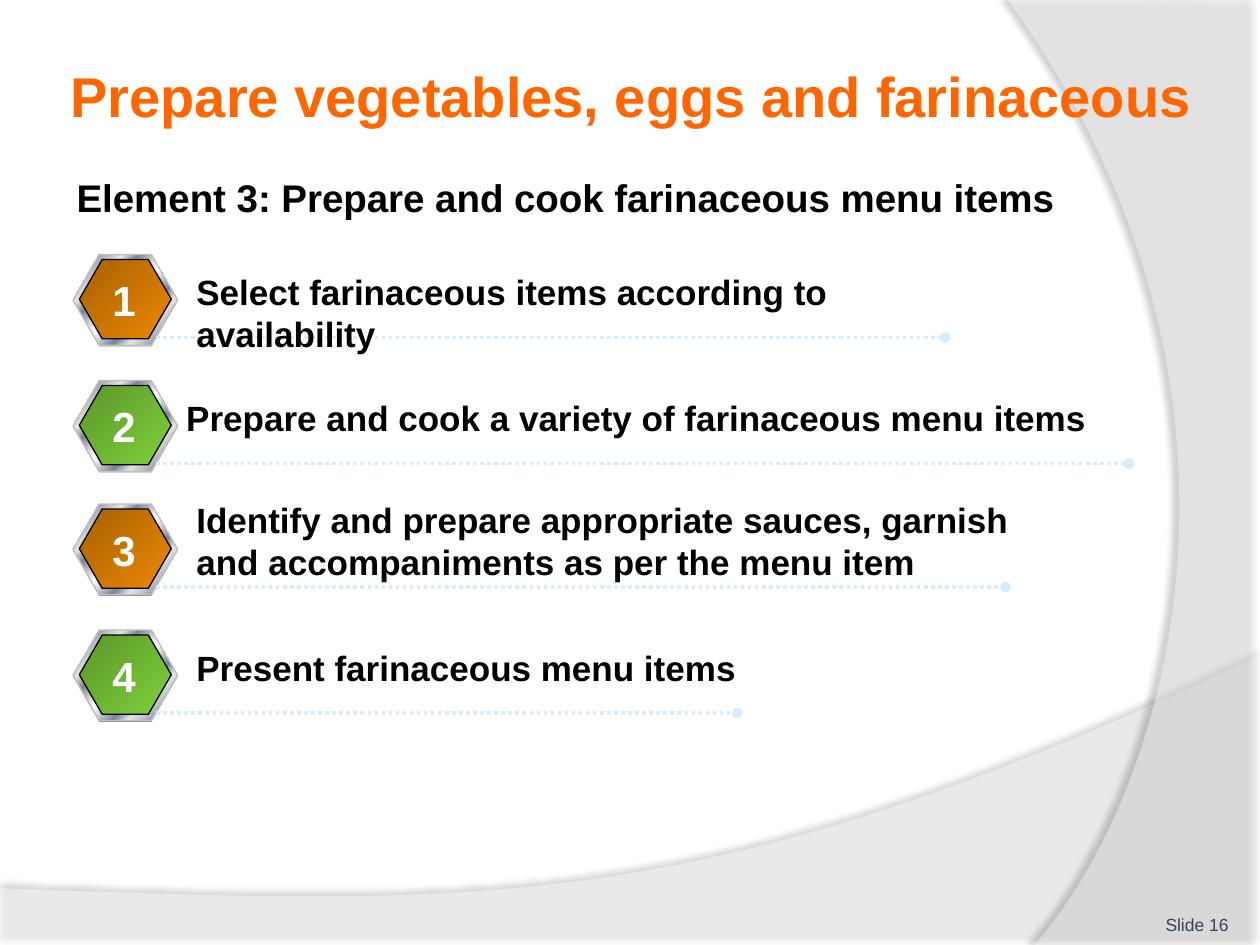
from dataclasses import dataclass

from lxml.etree import SubElement
from pptx import Presentation
from pptx.dml.color import RGBColor
from pptx.enum.dml import MSO_LINE
from pptx.enum.shapes import MSO_CONNECTOR, MSO_SHAPE
from pptx.enum.text import MSO_ANCHOR, MSO_AUTO_SIZE, PP_ALIGN
from pptx.oxml.ns import qn
from pptx.util import Inches, Pt

FONT = "Arial"
ORANGE = RGBColor(0xFF, 0x66, 0x00)
BLACK = RGBColor(0, 0, 0)
WHITE = RGBColor(0xFF, 0xFF, 0xFF)
SLATE = RGBColor(0x3A, 0x43, 0x52)
GREY = RGBColor(0x80, 0x80, 0x80)
SILVER = RGBColor(0xC0, 0xC0, 0xC0)
LIGHT = RGBColor(0xE6, 0xE6, 0xE6)
STEEL = RGBColor(0x7D, 0x84, 0x96)
PALE_BLUE = RGBColor(0xD6, 0xEC, 0xFF)

BROWN_FACE = ((0, RGBColor(0xA8, 0x61, 0x02)), (100, RGBColor(0xEB, 0x88, 0x03)))
GREEN_FACE = ((0, RGBColor(0x5B, 0x96, 0x2A)), (100, RGBColor(0x7F, 0xD1, 0x3B)))
CHROME = (
    (0, LIGHT), (8, STEEL), (26, LIGHT), (34, STEEL), (46, LIGHT), (50, WHITE),
    (54, LIGHT), (66, STEEL), (74, LIGHT), (92, STEEL), (100, LIGHT),
)

Point = tuple[float, float]


@dataclass
class Item:
    top: float
    lines: tuple[str, ...]
    text_left: float
    text_width: float
    rule_end: float
    text_offset: float = 0.08


@dataclass
class Swoosh:
    curve: tuple[Point, Point, Point, Point]
    corners: tuple[Point, ...]
    opacity: int
    shadow_opacity: int
    shadow_distance: float
    shadow_angle: int


ITEMS = [
    Item(2.02, ("Select farinaceous items according to availability",), 1.46, 6.69, 7.5),
    Item(3.02, ("Prepare and cook a variety of farinaceous menu items",), 1.38, 7.8, 8.96),
    Item(4, ("Identify and prepare appropriate sauces, garnish ",
             "and accompaniments as per the menu item"), 1.46, 7.09, 7.98, -0.09),
    Item(5, ("Present farinaceous menu items",), 1.46, 4.49, 5.85),
]
SWOOSHES = [
    Swoosh(((10, 5.2), (5.59, 7.29), (3.91, 7.19), (0, 7.05)),
           ((0, 7.51), (10, 7.51)), 45, 35, 3.5, 270),
    Swoosh(((8.21, 7.5), (9.35, 6.19), (10.18, 3), (8, 0)),
           ((10, 0.02), (10, 7.5)), 40, 45, 4, 180),
]


def bezier(curve: tuple[Point, Point, Point, Point], steps: int = 60) -> list[Point]:
    points = []
    for step in range(steps + 1):
        t = step / steps
        weights = ((1 - t) ** 3, 3 * t * (1 - t) ** 2, 3 * t * t * (1 - t), t ** 3)
        points.append(tuple(sum(w * p[axis] for w, p in zip(weights, curve))
                            for axis in (0, 1)))
    return points


def add_swoosh(page, swoosh: Swoosh):
    outline = [(Inches(x), Inches(y)) for x, y in (*bezier(swoosh.curve), *swoosh.corners)]
    builder = page.shapes.build_freeform(*outline[0])
    builder.add_line_segments(outline[1:], close=True)
    shape = builder.convert_to_shape()
    shape.fill.solid()
    shape.fill.fore_color.rgb = WHITE
    shape.line.fill.background()
    shape.shadow.inherit = False
    properties = shape.element.spPr
    white = properties.find(qn("a:solidFill")).find(qn("a:srgbClr"))
    SubElement(white, qn("a:alpha"), val=str(swoosh.opacity * 1000))
    shadow = SubElement(
        properties.find(qn("a:effectLst")), qn("a:outerShdw"), blurRad=str(Pt(4)),
        dist=str(Pt(swoosh.shadow_distance)), dir=str(swoosh.shadow_angle * 60000),
        rotWithShape="0")
    black = SubElement(shadow, qn("a:srgbClr"), val=str(BLACK))
    SubElement(black, qn("a:alpha"), val=str(swoosh.shadow_opacity * 1000))
    return shape


def add_span(para, text: str, size: float, color: RGBColor, bold: bool = True) -> None:
    span = para.add_run()
    span.text = text
    span.font.name = FONT
    span.font.size = Pt(size)
    span.font.bold = bold
    span.font.color.rgb = color


def add_text(shapes, bounds: tuple[float, ...], lines: tuple[str, ...], size: float,
             color: RGBColor, align=PP_ALIGN.LEFT, bold: bool = True, wrap: bool = True):
    box = shapes.add_textbox(*map(Inches, bounds))
    frame = box.text_frame
    frame.word_wrap = wrap
    para = frame.paragraphs[0]
    para.alignment = align
    for index, line in enumerate(lines):
        if index:
            para.add_line_break()
        add_span(para, line, size, color, bold)
    return frame


def set_gradient(fill, stops) -> None:
    """Fill with any number of stops, running from top left to bottom right."""
    fill.gradient()
    fill.gradient_angle = 315
    stop_list = fill.gradient_stops[0]._gs.getparent()
    for stop in list(stop_list):
        stop_list.remove(stop)
    for position, color in stops:
        stop = SubElement(stop_list, qn("a:gs"), pos=str(position * 1000))
        SubElement(stop, qn("a:srgbClr"), val=str(color))


def add_hexagon(shapes, bounds: tuple[float, ...], stops=None, outline=None) -> None:
    hexagon = shapes.add_shape(MSO_SHAPE.HEXAGON, *map(Inches, bounds))
    hexagon.adjustments[0] = 0.289
    hexagon.shadow.inherit = False
    if stops:
        set_gradient(hexagon.fill, stops)
        hexagon.line.color.rgb = outline
        hexagon.line.width = Pt(0.75)
    else:
        hexagon.fill.solid()
        hexagon.fill.fore_color.rgb = GREY
        hexagon.line.fill.background()


def add_rule(shapes, left: float, right: float, top: float) -> None:
    rule = shapes.add_connector(MSO_CONNECTOR.STRAIGHT, Inches(left), Inches(top),
                                Inches(right), Inches(top))
    rule.line.color.rgb = PALE_BLUE
    rule.line.width = Pt(2)
    rule.line.dash_style = MSO_LINE.ROUND_DOT
    SubElement(rule.line._get_or_add_ln(), qn("a:tailEnd"), type="oval")
    SubElement(rule._element.spPr, qn("a:effectLst"))


def add_item(page, number: int, item: Item) -> None:
    shapes = page.shapes.add_group_shape().shapes
    top = item.top
    add_hexagon(shapes, (0.58, top + 0.01, 0.83, 0.72))
    add_hexagon(shapes, (0.58, top, 0.83, 0.72), CHROME, SILVER)
    face = BROWN_FACE if number % 2 else GREEN_FACE
    add_hexagon(shapes, (0.63, top + 0.04, 0.73, 0.63), face, BLACK)
    add_rule(shapes, 1.24, item.rule_end, top + 0.66)
    height = 0.11 + 0.33 * len(item.lines)
    label = add_text(shapes, (item.text_left, top + item.text_offset, item.text_width, height),
                     item.lines, 20, BLACK)
    digit = add_text(shapes, (0.79, top + 0.11, 0.39, 0.5), (str(number),), 24, WHITE,
                     PP_ALIGN.CENTER, wrap=False)
    for frame in (label, digit):
        frame.auto_size = MSO_AUTO_SIZE.SHAPE_TO_FIT_TEXT


def format_title(title) -> None:
    title.left, title.top, title.width, title.height = map(Inches, (0.51, 0.36, 9.37, 0.79))
    frame = title.text_frame
    frame.auto_size = MSO_AUTO_SIZE.NONE
    frame.vertical_anchor = MSO_ANCHOR.MIDDLE
    frame.margin_left = frame.margin_right = Inches(0.05)
    frame.margin_top = frame.margin_bottom = Inches(0.05)
    para = frame.paragraphs[0]
    para.alignment = PP_ALIGN.LEFT
    add_span(para, "Prepare vegetables, eggs and farinaceous", 32, ORANGE)


def main() -> None:
    deck = Presentation()
    deck.slide_width, deck.slide_height = Inches(10), Inches(7.5)
    page = deck.slides.add_slide(deck.slide_layouts[5])
    title = page.shapes.title
    format_title(title)
    for swoosh in SWOOSHES:
        title.element.addprevious(add_swoosh(page, swoosh).element)
    add_text(page.shapes, (0.51, 1.33, 8.17, 0.5),
             ("Element 3: Prepare and cook farinaceous menu items",), 22, BLACK)
    footer = add_text(page.shapes, (8.92, 7.02, 0.83, 0.4), ("Slide 16",), 10, SLATE,
                      PP_ALIGN.RIGHT, bold=False)
    footer.vertical_anchor = MSO_ANCHOR.BOTTOM
    footer.margin_left = footer.margin_right = footer.margin_top = footer.margin_bottom = 0
    for number, item in enumerate(ITEMS, 1):
        add_item(page, number, item)
    deck.save("out.pptx")


if __name__ == "__main__":
    main()
